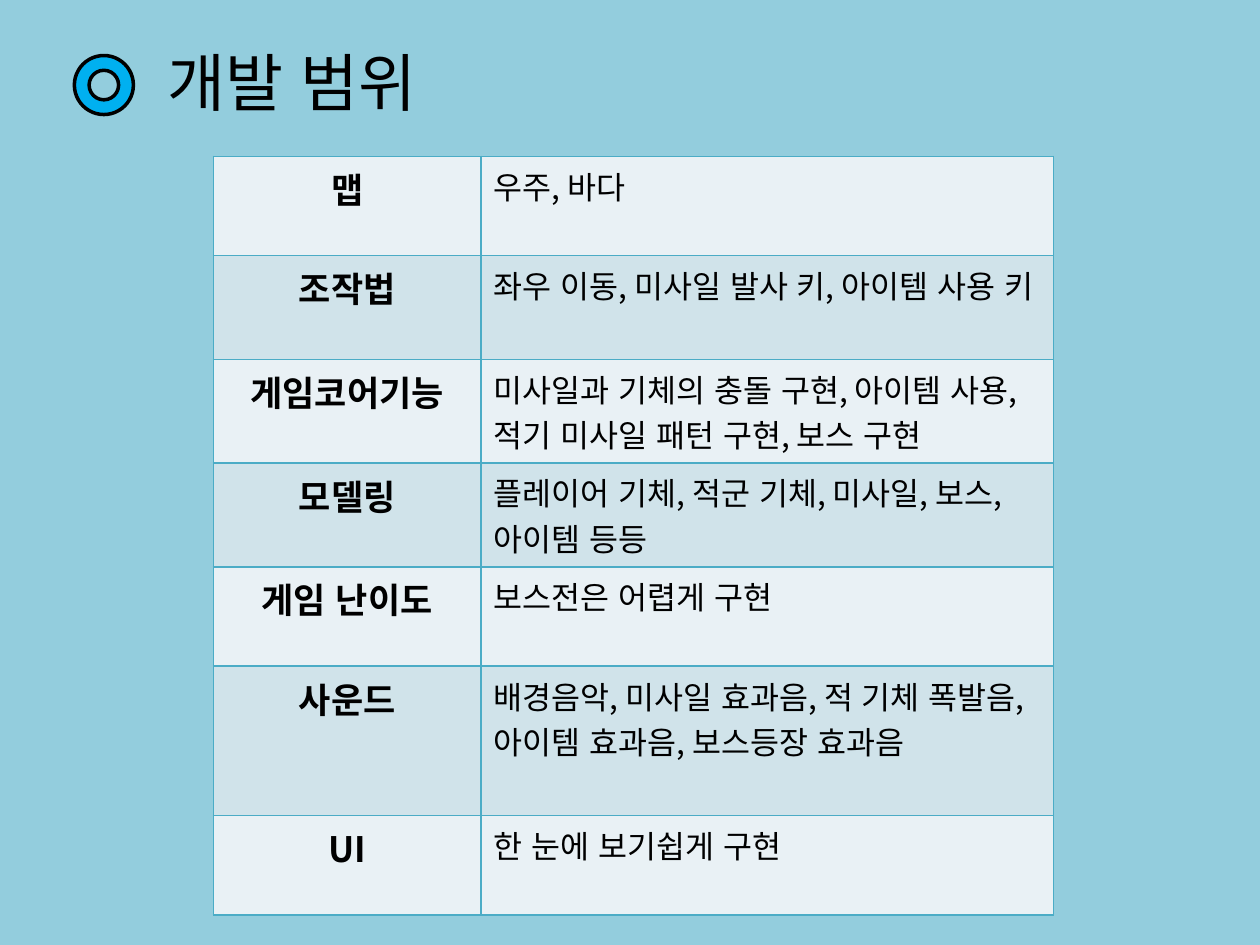
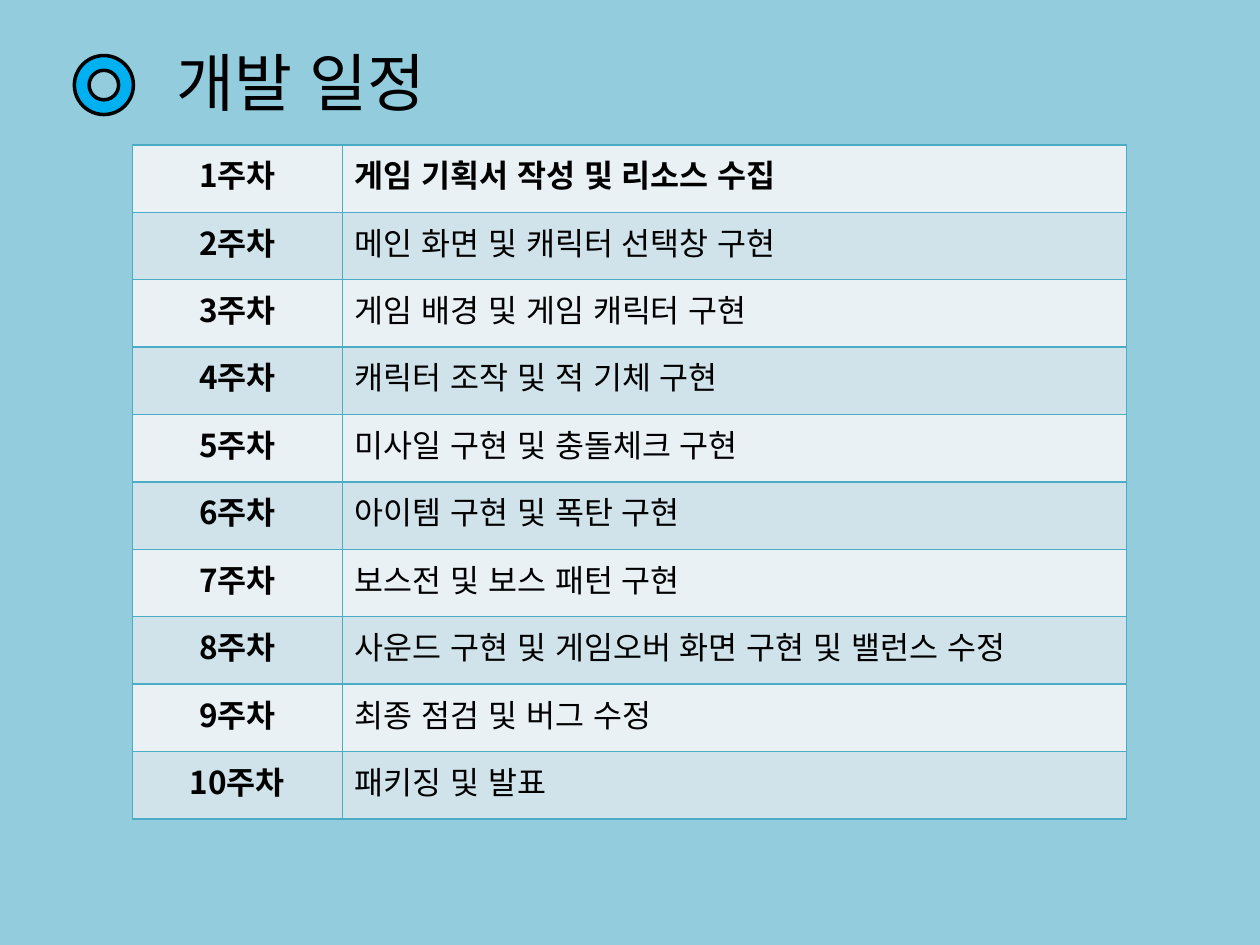
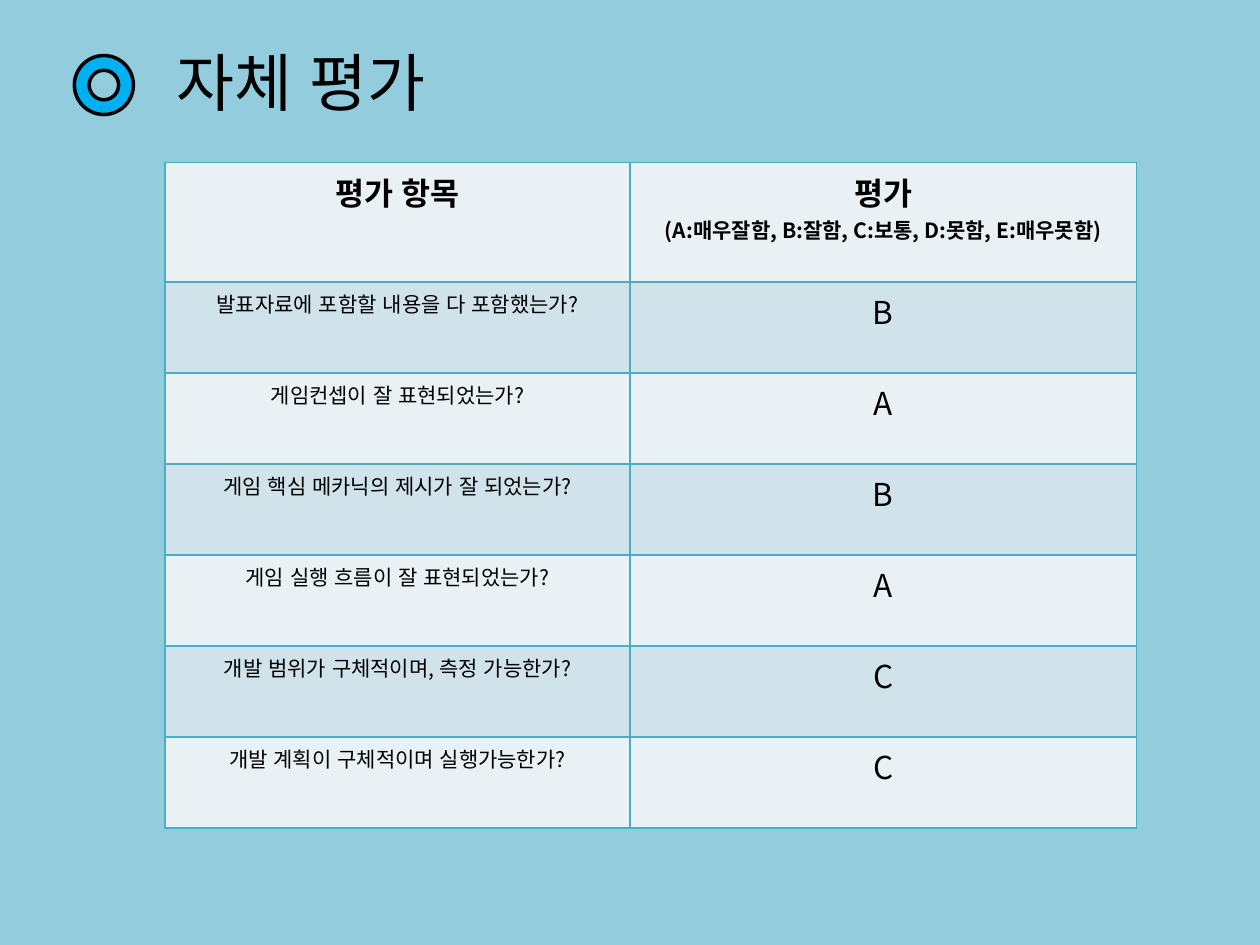
import collections

import pptx
import pptx.dml.color
import pptx.enum.lang
import pptx.enum.shapes
import pptx.enum.text
import pptx.oxml
import pptx.oxml.ns
import pptx.util
import lxml.etree

Cm, Pt = pptx.util.Cm, pptx.util.Pt
Align = pptx.enum.text.PP_ALIGN

COLORS = {
    "background": "93CDDD",
    "ring": "00B0F0",
    "text": "000000",
    "border": "4BACC6",
    "odd_row": "E9F1F5",
    "even_row": "D0E3EA",
}
FONT = "Noto Sans CJK KR"
TITLE_ONLY = 5

Box = collections.namedtuple("Box", "left top width height")
Style = collections.namedtuple("Style", "size bold align")

# Shared places, in centimetres
HEADING = Box(-0.03, 0.05, 11.84, 3.18)
RING = Box(1.53, 1.07, 1.19, 1.19)  # relative to the heading

# Text styles
TITLE = Style(36, False, Align.CENTER)
TOPIC = Style(20, True, Align.CENTER)
DETAIL = Style(18, False, Align.LEFT)
THIS_WEEK = Style(18, True, Align.LEFT)
LABEL = Style(18, True, Align.CENTER)
SCALE = Style(12, True, Align.CENTER)
QUESTION = Style(12, False, Align.CENTER)
GRADE = Style(18, False, Align.CENTER)

SCOPE = [
    ("맵", "우주, 바다"),
    ("조작법", "좌우 이동, 미사일 발사 키, 아이템 사용 키"),
    ("게임코어기능", "미사일과 기체의 충돌 구현, 아이템 사용, 적기 미사일 패턴 구현, 보스 구현"),
    ("모델링", "플레이어 기체, 적군 기체, 미사일, 보스, 아이템 등등"),
    ("게임 난이도", "보스전은 어렵게 구현"),
    ("사운드", "배경음악, 미사일 효과음, 적 기체 폭발음, 아이템 효과음, 보스등장 효과음"),
    ("UI", "한 눈에 보기쉽게 구현"),
]
WEEKS = [
    "게임 기획서 작성 및 리소스 수집",
    "메인 화면 및 캐릭터 선택창 구현",
    "게임 배경 및 게임 캐릭터 구현",
    "캐릭터 조작 및 적 기체 구현",
    "미사일 구현 및 충돌체크 구현",
    "아이템 구현 및 폭탄 구현",
    "보스전 및 보스 패턴 구현",
    "사운드 구현 및 게임오버 화면 구현 및 밸런스 수정",
    "최종 점검 및 버그 수정",
    "패키징 및 발표",
]
EVALUATION = [
    ("발표자료에 포함할 내용을 다 포함했는가?", "B"),
    ("게임컨셉이 잘 표현되었는가?", "A"),
    ("게임 핵심 메카닉의 제시가 잘 되었는가?", "B"),
    ("게임 실행 흐름이 잘 표현되었는가?", "A"),
    ("개발 범위가 구체적이며, 측정 가능한가?", "C"),
    ("개발 계획이 구체적이며 실행가능한가?", "C"),
]


def paint(fill, color):
    fill.solid()
    fill.fore_color.rgb = pptx.dml.color.RGBColor.from_string(COLORS[color])


def write(frame, lines):
    """Write (text, style) pairs, one paragraph each."""
    for index, (text, style) in enumerate(lines):
        paragraph = frame.add_paragraph() if index else frame.paragraphs[0]
        paragraph.alignment = style.align
        run = paragraph.add_run()
        run.text = text
        font = run.font
        font.name, font.size, font.bold = FONT, Pt(style.size), style.bold
        font.language_id = pptx.enum.lang.MSO_LANGUAGE_ID.KOREAN
        paint(font.fill, "text")
        # East Asian typeface, placed after the Latin one
        east_asian = pptx.oxml.parse_xml(
            f'<a:ea {pptx.oxml.ns.nsdecls("a")} typeface="{FONT}"/>')
        run.font._element.find(pptx.oxml.ns.qn("a:latin")).addnext(east_asian)


def draw_borders(cell):
    properties = cell._tc.get_or_add_tcPr()
    for index, side in enumerate(("lnL", "lnR", "lnT", "lnB")):
        border = pptx.oxml.parse_xml(
            f'<a:{side} {pptx.oxml.ns.nsdecls("a")} w="{Pt(1)}"><a:solidFill>'
            f'<a:srgbClr val="{COLORS["border"]}"/></a:solidFill></a:{side}>')
        properties.insert(index, border)


def add_heading(slide, box, text):
    # Title
    title = slide.shapes.title
    title.left, title.top, title.width, title.height = map(Cm, box)
    title.text_frame.auto_size = pptx.enum.text.MSO_AUTO_SIZE.NONE
    title.text_frame.vertical_anchor = pptx.enum.text.MSO_ANCHOR.MIDDLE
    write(title.text_frame, [(text, TITLE)])

    # Ring in front of the title
    ring = slide.shapes.add_shape(
        pptx.enum.shapes.MSO_SHAPE.DONUT, Cm(box.left + RING.left),
        Cm(box.top + RING.top), Cm(RING.width), Cm(RING.height))
    ring.shadow.inherit = False
    paint(ring.fill, "ring")
    paint(ring.line.fill, "text")
    ring.line.width = Pt(2)


def add_banded_table(slide, box, first_width, rows):
    """Two columns; every cell is a list of (text, style) pairs."""
    table = slide.shapes.add_table(len(rows), 2, *map(Cm, box)).table
    table.first_row = table.horz_banding = False
    table.columns[0].width = Cm(first_width)
    table.columns[1].width = Cm(box.width - first_width)
    for index, row in enumerate(rows):
        table.rows[index].height = Cm(box.height / len(rows))
        for column, lines in enumerate(row):
            cell = table.cell(index, column)
            paint(cell.fill, "even_row" if index % 2 else "odd_row")
            draw_borders(cell)
            write(cell.text_frame, lines)


def add_table_slide(deck, title, box, first_width, rows):
    slide = deck.slides.add_slide(deck.slide_layouts[TITLE_ONLY])
    add_heading(slide, HEADING, title)
    add_banded_table(slide, box, first_width, rows)


def main():
    deck = pptx.Presentation()
    deck.slide_width, deck.slide_height = Cm(25.4), Cm(19.05)
    paint(deck.slide_master.background.fill, "background")

    # Development scope
    scope = [([(topic, TOPIC)], [(detail, DETAIL)]) for topic, detail in SCOPE]
    add_table_slide(deck, "개발 범위", Box(4.3, 3.15, 16.94, 14), 5.4, scope)

    # Schedule, with the current week in bold
    schedule = [
        ([(f"{week}주차", LABEL)], [(task, THIS_WEEK if week == 1 else DETAIL)])
        for week, task in enumerate(WEEKS, 1)
    ]
    add_table_slide(deck, " 개발 일정", Box(2.67, 2.92, 20.04, 13.6), 4.23, schedule)

    # Self-evaluation
    header = ([("평가 항목", LABEL)],
              [("평가", LABEL), ("(A:매우잘함, B:잘함, C:보통, D:못함, E:매우못함)", SCALE)])
    evaluation = [header] + [
        ([(question, QUESTION)], [(grade, GRADE)]) for question, grade in EVALUATION
    ]
    add_table_slide(deck, " 자체 평가", Box(3.33, 3.28, 19.58, 12.85), 9.37, evaluation)

    deck.save("out.pptx")


if __name__ == "__main__":
    main()
